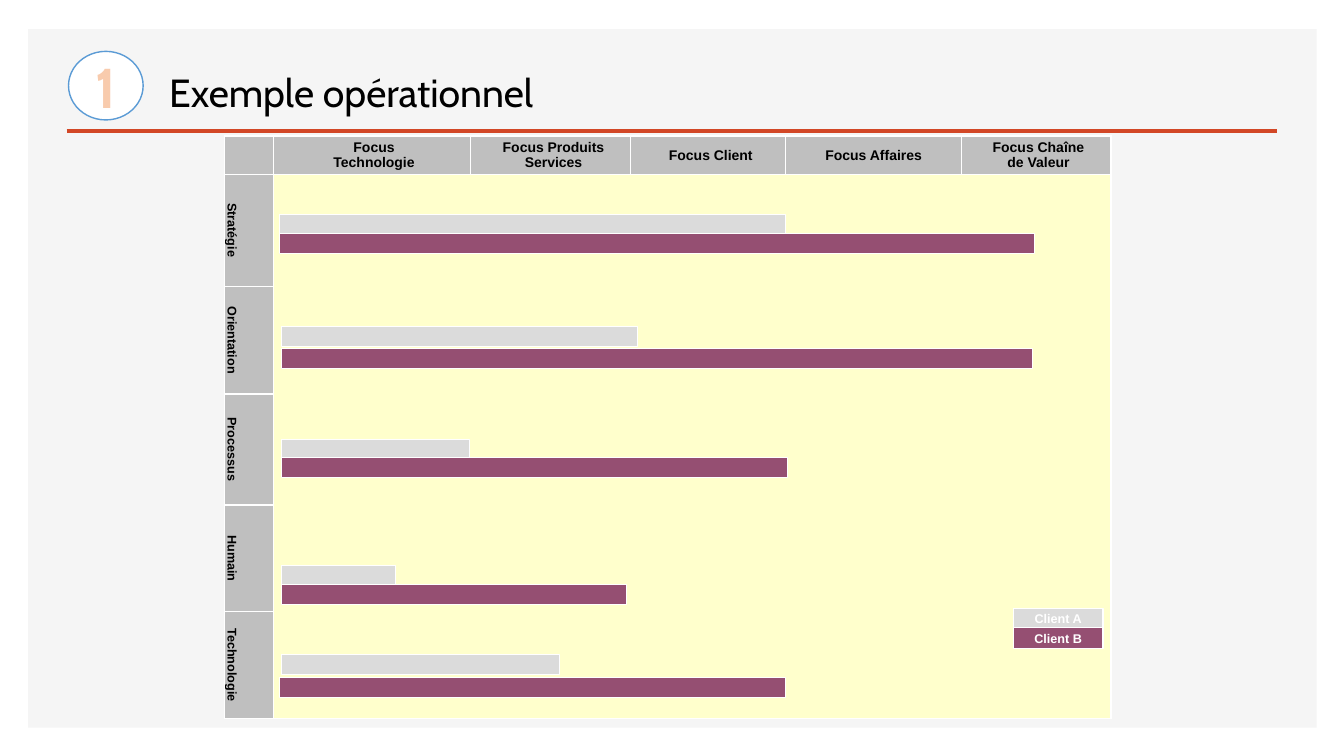
import pptx
import pptx.util
import pptx.dml.color
import pptx.enum.shapes
import pptx.enum.text
import pptx.oxml
import pptx.oxml.ns
from pptx.util import Inches

COLORS = {
    "panel": "F5F5F5", "rule": "D24726", "header": "BFBFBF", "body": "FFFFCC",
    "client_a": "DBDBDB", "client_b": "954F72", "white": "FFFFFF", "black": "000000",
    "ring": "5B9BD5", "number": "F8CBAD", "number_edge": "ED7D31",
}
RGB = pptx.dml.color.RGBColor.from_string
SHAPES = pptx.enum.shapes.MSO_SHAPE
MIDDLE = pptx.enum.text.MSO_ANCHOR.MIDDLE
BOTTOM = pptx.enum.text.MSO_ANCHOR.BOTTOM
NAMESPACE = pptx.oxml.ns.nsdecls("a")

presentation = pptx.Presentation()
presentation.slide_width = Inches(13.33)
presentation.slide_height = Inches(7.5)
slide = presentation.slides.add_slide(presentation.slide_layouts[6])


def add_block(kind, left, top, width, height, fill, line=None, line_width=0.75):
    shape = slide.shapes.add_shape(kind, Inches(left), Inches(top), Inches(width), Inches(height))
    shape.shadow.inherit = False
    shape.fill.solid()
    shape.fill.fore_color.rgb = RGB(COLORS[fill])
    if line:
        shape.line.color.rgb = RGB(COLORS[line])
        shape.line.width = pptx.util.Pt(line_width)
    else:
        shape.line.fill.background()
    return shape


def write(frame, text, size, font, color, bold=True, centered=True):
    frame.text = text
    for paragraph in frame.paragraphs:
        if centered:
            paragraph.alignment = pptx.enum.text.PP_ALIGN.CENTER
        for run in paragraph.runs:
            run.font.size = pptx.util.Pt(size)
            run.font.name = font
            run.font.bold = bold
            run.font.color.rgb = RGB(COLORS[color])


# Background panel and rule under the title
add_block(SHAPES.RECTANGLE, 0.28, 0.29, 12.78, 6.93, "panel")
rule = slide.shapes.add_connector(
    pptx.enum.shapes.MSO_CONNECTOR.STRAIGHT, Inches(0.66), Inches(1.3), Inches(12.67), Inches(1.3))
rule.line.color.rgb = RGB(COLORS["rule"])
rule.line.width = pptx.util.Pt(2.25)
rule._element.spPr.append(pptx.oxml.parse_xml(f"<a:effectLst {NAMESPACE}/>"))

# Title
title = slide.shapes.add_textbox(Inches(1.58), Inches(0.49), Inches(6.51), Inches(0.7))
title.text_frame.word_wrap = True
title.text_frame.vertical_anchor = BOTTOM
write(title.text_frame, "Exemple opérationnel", 28, "Cabin", "black", bold=False, centered=False)

# Maturity grid: header row, header column and one merged body
column_widths = [0.48, 1.96, 1.58, 1.54, 1.75, 1.48]
row_heights = [0.38, 1.11, 1.07, 1.1, 1.06, 1.06]
column_labels = ["", "Focus\vTechnologie", "Focus Produits\vServices", "Focus Client",
                 "Focus Affaires", "Focus Chaîne\vde Valeur"]
column_insets = [0, 0.04, 0.06, 0.06, 0, 0.04]
row_labels = ["", "Stratégie", "Orientation", "Processus", "Humain", "Technologie"]

table = slide.shapes.add_table(
    6, 6, Inches(2.23), Inches(1.35), Inches(sum(column_widths)), Inches(sum(row_heights))).table
for column, width in zip(table.columns, column_widths):
    column.width = Inches(width)
for row, height in zip(table.rows, row_heights):
    row.height = Inches(height)
table.cell(1, 1).merge(table.cell(5, 5))

for row_index in range(6):
    for column_index in range(6):
        cell = table.cell(row_index, column_index)
        cell.margin_left = cell.margin_right = cell.margin_top = cell.margin_bottom = 0
        cell.vertical_anchor = MIDDLE
        properties = cell._tc.get_or_add_tcPr()
        for side in ("lnL", "lnR", "lnT", "lnB"):
            properties.append(pptx.oxml.parse_xml(
                f'<a:{side} {NAMESPACE} w="12700"><a:solidFill>'
                f'<a:srgbClr val="{COLORS["white"]}"/></a:solidFill></a:{side}>'))
        is_header = row_index == 0 or column_index == 0
        cell.fill.solid()
        cell.fill.fore_color.rgb = RGB(COLORS["header" if is_header else "body"])
        if row_index == 0:
            cell.margin_left = Inches(column_insets[column_index])
            write(cell.text_frame, column_labels[column_index], 10, "Arial", "black")
        elif column_index == 0:
            # Labels read downwards along the left edge
            properties.set("vert", "vert")
            cell.vertical_anchor = BOTTOM
            write(cell.text_frame, row_labels[row_index], 9, "Arial", "black")

# Bars per row: left, top and width for client A, then for client B
bar_pairs = [
    ((2.77, 2.13, 5.02), (2.77, 2.32, 7.49)),
    ((2.79, 3.24, 3.53), (2.79, 3.46, 7.45)),
    ((2.79, 4.36, 1.87), (2.79, 4.54, 5.02)),
    ((2.79, 5.61, 1.13), (2.79, 5.8, 3.42)),
    ((2.79, 6.49, 2.76), (2.77, 6.72, 5.02)),
]
for pair in bar_pairs:
    for (left, top, width), client in zip(pair, ("client_a", "client_b")):
        add_block(SHAPES.RECTANGLE, left, top, width, 0.2, client, "white")

# Legend
for label, client, top in (("Client A", "client_a", 6.04), ("Client B", "client_b", 6.23)):
    legend = add_block(SHAPES.RECTANGLE, 10.05, top, 0.89, 0.2, client, "white")
    frame = legend.text_frame
    frame.margin_left = frame.margin_right = frame.margin_top = frame.margin_bottom = 0
    frame.vertical_anchor = MIDDLE
    write(frame, label, 9, "Arial", "white")

# Numbered circle
circle = add_block(SHAPES.OVAL, 0.68, 0.51, 0.74, 0.68, "white", "ring", 1)
circle.text_frame.vertical_anchor = MIDDLE
write(circle.text_frame, "1", 40, "Cabin", "number")
number_run = circle.text_frame.paragraphs[0].runs[0]
number_run.font._element.insert(0, pptx.oxml.parse_xml(
    f'<a:ln {NAMESPACE} w="22225"><a:solidFill>'
    f'<a:srgbClr val="{COLORS["number_edge"]}"/></a:solidFill></a:ln>'))

presentation.save("out.pptx")
